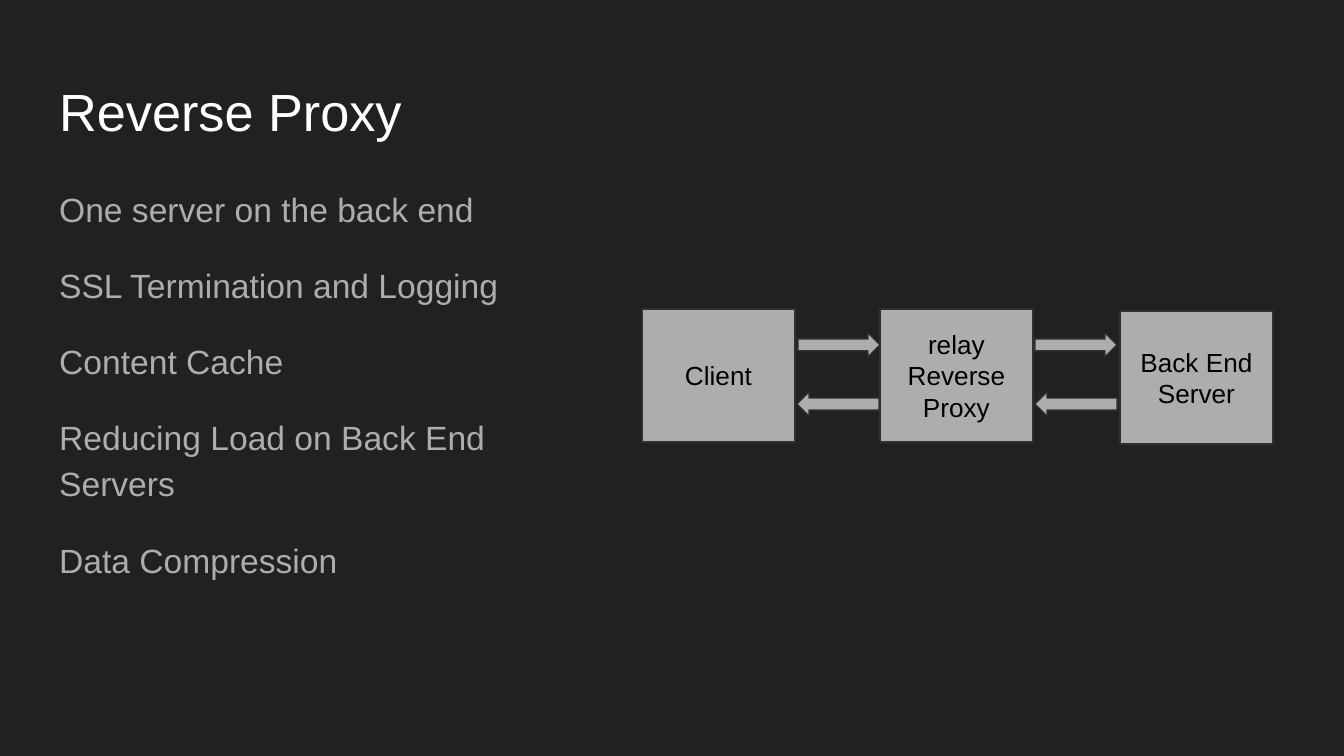
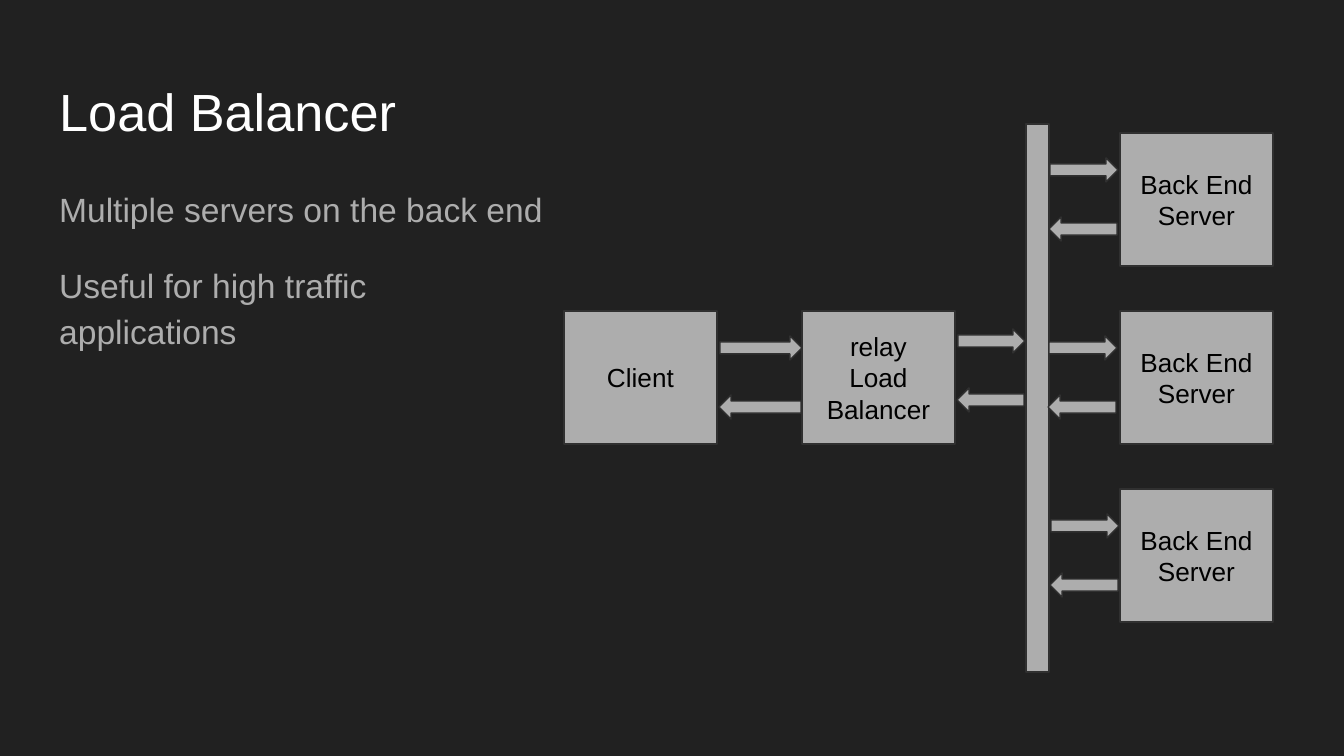
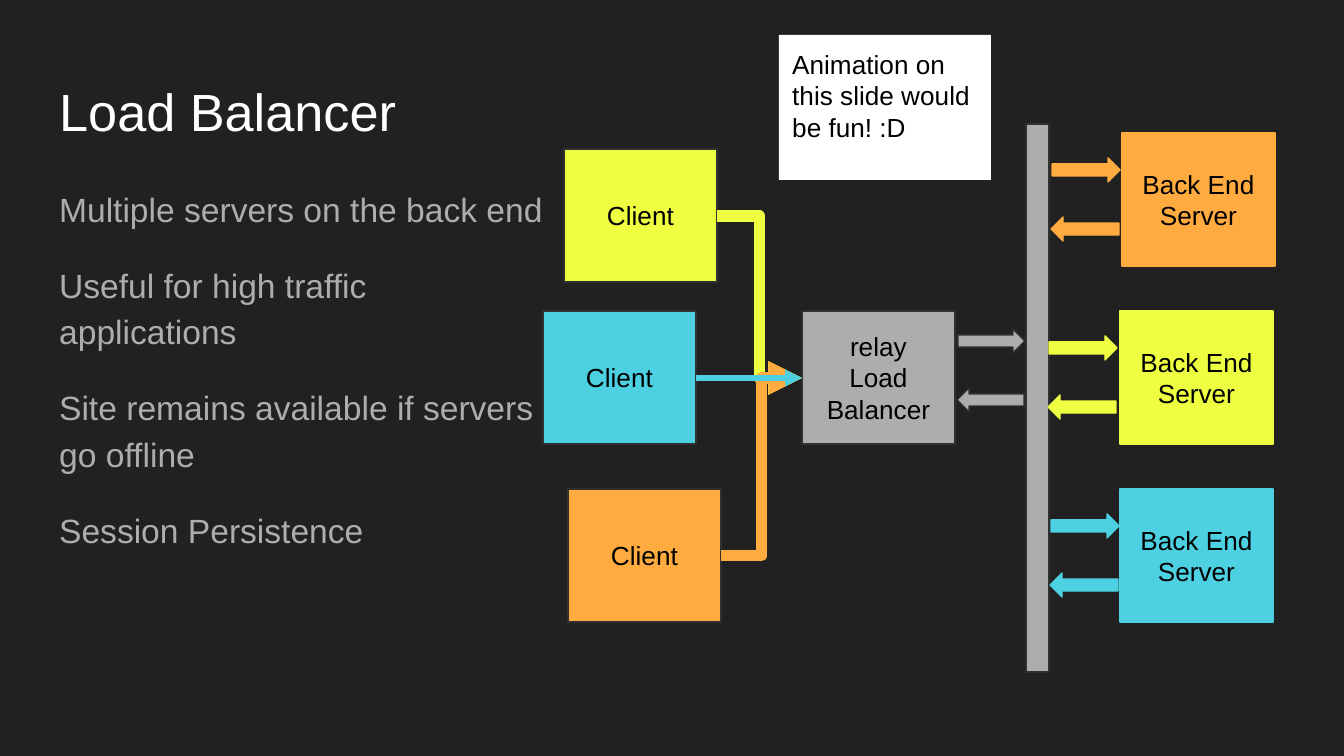
from lxml import etree
from pptx import Presentation
from pptx.dml.color import RGBColor
from pptx.enum.shapes import MSO_CONNECTOR, MSO_SHAPE
from pptx.enum.text import MSO_ANCHOR, PP_ALIGN
from pptx.oxml.ns import qn
from pptx.util import Emu, Pt

RECT, ARROW = MSO_SHAPE.RECTANGLE, MSO_SHAPE.RIGHT_ARROW
ELBOW = MSO_CONNECTOR.ELBOW
TOP, MIDDLE = MSO_ANCHOR.TOP, MSO_ANCHOR.MIDDLE
LEFT, CENTER = PP_ALIGN.LEFT, PP_ALIGN.CENTER

SCALE = 914400 / 134.4
COLORS = {"back": "212121", "white": "FFFFFF", "black": "000000",
          "gray": "ADADAD", "edge": "303030", "yellow": "EEFF41",
          "cyan": "4DD0E1", "orange": "FFAB40"}
TITLE = {"size": 28, "color": "white", "format": {"alignment": LEFT}}
BODY = {"size": 18, "color": "gray",
        "format": {"alignment": LEFT, "line_spacing": 1.15}, "gap": 16}
LABEL = {"size": 14, "color": "black", "format": {"alignment": CENTER}}
NOTE = {"size": 14, "color": "black", "format": {"alignment": LEFT}}

BOX_W, BOX_H = 153, 133
ROW, STEP = 133, 178
ROWS = [ROW + i * STEP for i in range(3)]
MID = ROWS[1]
SERVER = "Back End\nServer"
SERVER_X = 1120
BALANCER_X = 802


def px(length):
    """Turn picture pixels into EMU."""
    return Emu(round(length * SCALE))


def rgb(name):
    """Look up a colour by name."""
    return RGBColor.from_string(COLORS[name])


class Deck:
    """Holds the shared style and the current slide."""

    def __init__(self):
        """Open an empty wide deck."""
        self.show = Presentation()
        self.show.slide_width, self.show.slide_height = px(1344), px(756)
        self.slide = None

    def start(self, title, points, wide):
        """Add a dark slide with its title and body points."""
        self.slide = self.show.slides.add_slide(self.show.slide_layouts[6])
        fill = self.slide.background.fill
        fill.solid()
        fill.fore_color.rgb = rgb("back")
        self.text(46, 66, 1252, 85, title, TITLE)
        self.text(46, 169, wide, 503, "\n".join(points), BODY)

    def label(self, shape, words, style, anchor=TOP):
        """Fill a shape with styled paragraphs, one per line."""
        frame = shape.text_frame
        setup = {"word_wrap": True, "vertical_anchor": anchor}
        for side in ("left", "right", "top", "bottom"):
            setup["margin_" + side] = Pt(7.2)
        for key, value in setup.items():
            setattr(frame, key, value)
        frame.text = words
        for index, para in enumerate(frame.paragraphs):
            for key, value in style["format"].items():
                setattr(para, key, value)
            if index and "gap" in style:
                para.space_before = Pt(style["gap"])
            for run in para.runs:
                run.font.name = "Arial"
                run.font.size = Pt(style["size"])
                run.font.color.rgb = rgb(style["color"])

    def text(self, x, y, w, h, words, style):
        """Add a plain text box."""
        box = self.slide.shapes.add_textbox(px(x), px(y), px(w), px(h))
        self.label(box, words, style)

    def shape(self, kind, x, y, w, h, color="gray", edge="edge"):
        """Add a filled preset shape; edge None leaves out the line."""
        item = self.slide.shapes.add_shape(kind, px(x), px(y), px(w), px(h))
        item.shadow.inherit = False
        item.fill.solid()
        item.fill.fore_color.rgb = rgb(color)
        if edge:
            item.line.color.rgb = rgb(edge)
            item.line.width = Pt(0.75)
        else:
            item.line.fill.background()
        return item

    def box(self, x, y, words, color="gray", edge="edge"):
        """Add a labelled node."""
        item = self.shape(RECT, x, y, BOX_W, BOX_H, color, edge)
        self.label(item, words, LABEL, MIDDLE)

    def pair(self, x, y, w, color="gray", edge="edge", lag=1):
        """Add a request arrow with the reply arrow below it."""
        self.shape(ARROW, x, y, w, 24, color, edge)
        back = self.shape(ARROW, x - lag, y + 59, w, 24, color, edge)
        back.rotation = 180

    def link(self, x, y, color, width):
        """Run a bent arrow from a client to the balancer."""
        line = self.slide.shapes.add_connector(
            ELBOW, px(x), px(y), px(BALANCER_X), px(MID + 67))
        line.line.color.rgb = rgb(color)
        line.line.width = Pt(width)
        props = line._element.spPr
        tail = etree.SubElement(props.find(qn("a:ln")), qn("a:tailEnd"))
        tail.set("type", "triangle")
        etree.SubElement(props, qn("a:effectLst"))

    def hub(self):
        """Add the balancer, the bar and the arrows between them."""
        self.box(BALANCER_X, MID, "relay\vLoad\nBalancer")
        self.shape(RECT, 1026, 124, 23, 548)
        self.pair(958, 329, 67)

    def note(self, x, y, w, h, words):
        """Add a white remark."""
        self.label(self.shape(RECT, x, y, w, h, "white", None), words, NOTE)


def proxy(deck):
    """Build the reverse proxy slide."""
    deck.start("Reverse Proxy", [
        "One server on the back end", "SSL Termination and Logging",
        "Content Cache", "Reducing Load on Back End Servers",
        "Data Compression"], 491)
    deck.box(642, 309, "Client")
    deck.box(SERVER_X, MID, SERVER)
    deck.box(880, 309, "relay\nReverse\nProxy")
    deck.pair(798, 333, 82)
    deck.pair(1035, 333, 82, lag=0)


def balance(deck):
    """Build the plain load balancer slide."""
    deck.start("Load Balancer", [
        "Multiple servers on the back end",
        "Useful for high traffic applications"], 512)
    deck.box(564, MID, "Client")
    deck.pair(720, 336, 82)
    deck.hub()
    for y, x in zip(ROWS, (1050, 1049, 1051)):
        deck.box(SERVER_X, y, SERVER)
        deck.pair(x, y + 25, 68)


def persist(deck):
    """Build the slide that colours each client with its server."""
    deck.start("Load Balancer", [
        "Multiple servers on the back end",
        "Useful for high traffic applications",
        "Site remains available if servers go offline",
        "Session Persistence"], 512)
    deck.hub()
    servers = [("orange", 1122, 1052), ("yellow", SERVER_X, 1049),
               ("cyan", SERVER_X, 1051)]
    for y, (color, x, start) in zip(ROWS, servers):
        deck.box(x, y, SERVER, color, color)
        deck.pair(start, y + 25, 68, color, color)
    clients = [("yellow", 564, 149, 6), ("orange", 568, ROWS[2], 6),
               ("cyan", 543, MID, 3)]
    for color, x, y, width in clients:
        deck.box(x, y, "Client", color)
        deck.link(x + BOX_W, y + 67, color, width)
    deck.note(779, 35, 212, 145, "Animation on this slide would be fun! :D")


def main():
    """Build and save the deck."""
    deck = Deck()
    for build in (proxy, balance, persist):
        build(deck)
    deck.show.save("out.pptx")


main()
